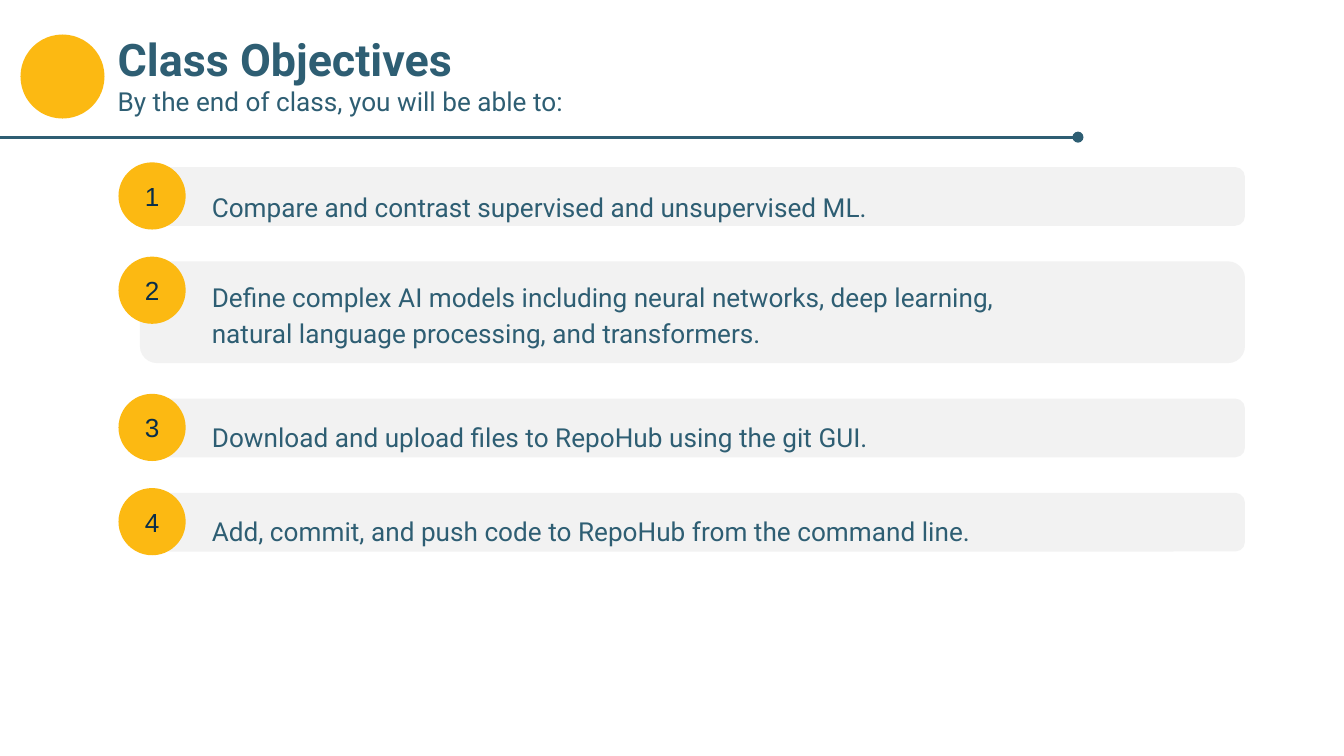
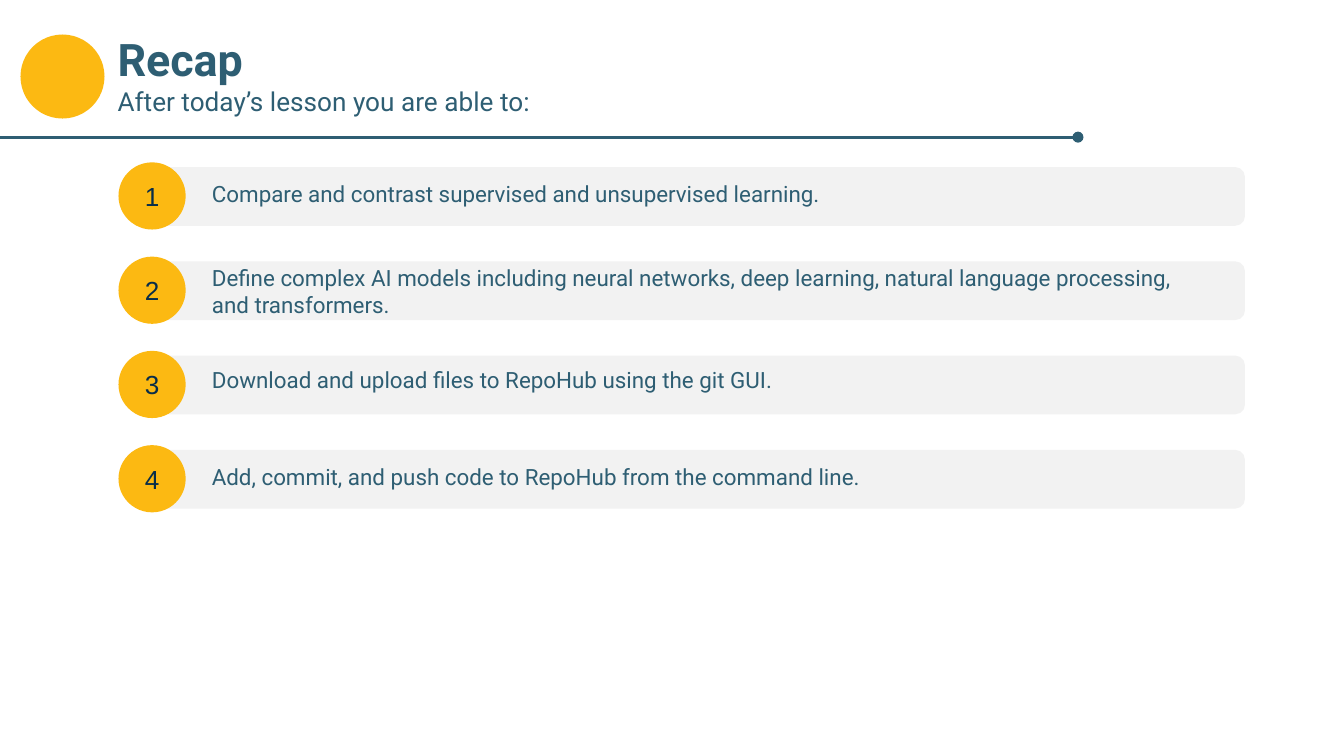
from dataclasses import dataclass

from lxml import etree
from pptx import Presentation
from pptx.dml.color import RGBColor
from pptx.enum.shapes import MSO_CONNECTOR as CONN, MSO_SHAPE as SHP
from pptx.enum.text import MSO_ANCHOR as ANCHOR, MSO_AUTO_SIZE as FIT, PP_ALIGN as ALIGN
from pptx.oxml.ns import qn
from pptx.util import Emu, Pt


@dataclass(frozen=True)
class Theme:
    yellow: str = "FCB912"
    teal: str = "2E5E73"
    navy: str = "082D49"
    gray: str = "F2F2F2"
    body_font: str = "Roboto"
    badge_font: str = "Arial"
    title_size: int = 24
    subtitle_size: int = 14
    badge_size: int = 14
    rule_width: float = 1.5


@dataclass(frozen=True)
class Box:
    x: int
    y: int
    w: int
    h: int


@dataclass(frozen=True)
class Objective:
    text: str
    text_dy: int
    text_w: int
    text_h: int
    bar_h: int = 63


@dataclass(frozen=True)
class ObjectiveSlide:
    title: str
    subtitle: str
    text_size: int
    line_spacing: float
    objectives: tuple[Objective, ...]


THEME = Theme()
PX_PER_INCH = 144
INSET = 14
BAR_X, BAR_W = 150, 1184
FIRST_BAR_Y, BAR_GAP = 179, 38
TEXT_X = 213
BADGE_X, BADGE_DY, BADGE_D = 127, -5, 72

MODELS = ("Define complex AI models including neural networks, deep learning, "
          "natural language processing, and transformers.")
FILES = "Download and upload files to RepoHub using the git GUI."
COMMANDS = "Add, commit, and push code to RepoHub from the command line."

SLIDES = (
    ObjectiveSlide("Class Objectives", "By the end of class, you will be able to:", 14, 1.15, (
        Objective("Compare and contrast supervised and unsupervised ML.", 7, 1086, 63),
        Objective(MODELS, 2, 926, 102, bar_h=109),
        Objective(FILES, 5, 1073, 63),
        Objective(COMMANDS, 5, 1086, 63),
    )),
    ObjectiveSlide("Recap", "After today’s lesson you are able to:", 12, 1.0, (
        Objective("Compare and contrast supervised and unsupervised learning.", 0, 1086, 58),
        Objective(MODELS, -11, 1061, 88),
        Objective(FILES, -3, 1073, 58),
        Objective(COMMANDS, 0, 1086, 58),
    )),
)


def px(n: int) -> Emu:
    return Emu(n * 914400 // PX_PER_INCH)


def place(box: Box) -> tuple[Emu, ...]:
    return px(box.x), px(box.y), px(box.w), px(box.h)


def style(p, size: int, color: str, font: str, bold: bool = False) -> None:
    for r in p.runs:
        r.font.size = Pt(size)
        r.font.name = font
        r.font.bold = bold
        r.font.color.rgb = RGBColor.from_string(color)


def set_insets(tf) -> None:
    tf.word_wrap = True
    tf.margin_left = tf.margin_right = tf.margin_top = tf.margin_bottom = px(INSET)


def add_shape(s, kind: SHP, box: Box, fill: str):
    sp = s.shapes.add_shape(kind, *place(box))
    sp.shadow.inherit = False
    sp.fill.solid()
    sp.fill.fore_color.rgb = RGBColor.from_string(fill)
    sp.line.fill.background()
    return sp


def add_text(s, box: Box, text: str):
    tf = s.shapes.add_textbox(*place(box)).text_frame
    set_insets(tf)
    tf.text = text
    return tf


def add_header(s, title: str, subtitle: str) -> None:
    add_shape(s, SHP.OVAL, Box(22, 37, 90, 90), THEME.yellow)
    tf = add_text(s, Box(112, 20, 1279, 91), f"{title}\n{subtitle}")
    heading, sub = tf.paragraphs
    style(heading, THEME.title_size, THEME.teal, THEME.body_font, bold=True)
    style(sub, THEME.subtitle_size, THEME.teal, THEME.body_font)


def add_rule(s) -> None:
    rule = s.shapes.add_connector(CONN.STRAIGHT, px(-1), px(147), px(1155), px(147))
    rule.line.color.rgb = RGBColor.from_string(THEME.teal)
    rule.line.width = Pt(THEME.rule_width)
    etree.SubElement(rule.line._get_or_add_ln(), qn("a:tailEnd"), type="oval")
    etree.SubElement(rule._element.spPr, qn("a:effectLst"))


def add_badge(s, number: int, y: int) -> None:
    sp = add_shape(s, SHP.OVAL, Box(BADGE_X, y, BADGE_D, BADGE_D), THEME.yellow)
    tf = sp.text_frame
    set_insets(tf)
    tf.vertical_anchor = ANCHOR.MIDDLE
    tf.text = str(number)
    p = tf.paragraphs[0]
    p.alignment = ALIGN.CENTER
    style(p, THEME.badge_size, THEME.navy, THEME.badge_font)


def add_objective(s, number: int, y: int, item: Objective, size: int, spacing: float) -> None:
    add_shape(s, SHP.ROUNDED_RECTANGLE, Box(BAR_X, y, BAR_W, item.bar_h), THEME.gray)
    tf = add_text(s, Box(TEXT_X, y + item.text_dy, item.text_w, item.text_h), item.text)
    tf.auto_size = FIT.SHAPE_TO_FIT_TEXT
    p = tf.paragraphs[0]
    p.line_spacing = spacing
    style(p, size, THEME.teal, THEME.body_font)
    add_badge(s, number, y + BADGE_DY)


def add_slide(prs, content: ObjectiveSlide) -> None:
    s = prs.slides.add_slide(prs.slide_layouts[6])
    add_header(s, content.title, content.subtitle)
    y = FIRST_BAR_Y
    for number, item in enumerate(content.objectives, 1):
        add_objective(s, number, y, item, content.text_size, content.line_spacing)
        y += item.bar_h + BAR_GAP
    add_rule(s)


def main() -> None:
    prs = Presentation()
    prs.slide_width, prs.slide_height = px(1440), px(810)
    for content in SLIDES:
        add_slide(prs, content)
    prs.save("out.pptx")


if __name__ == "__main__":
    main()
